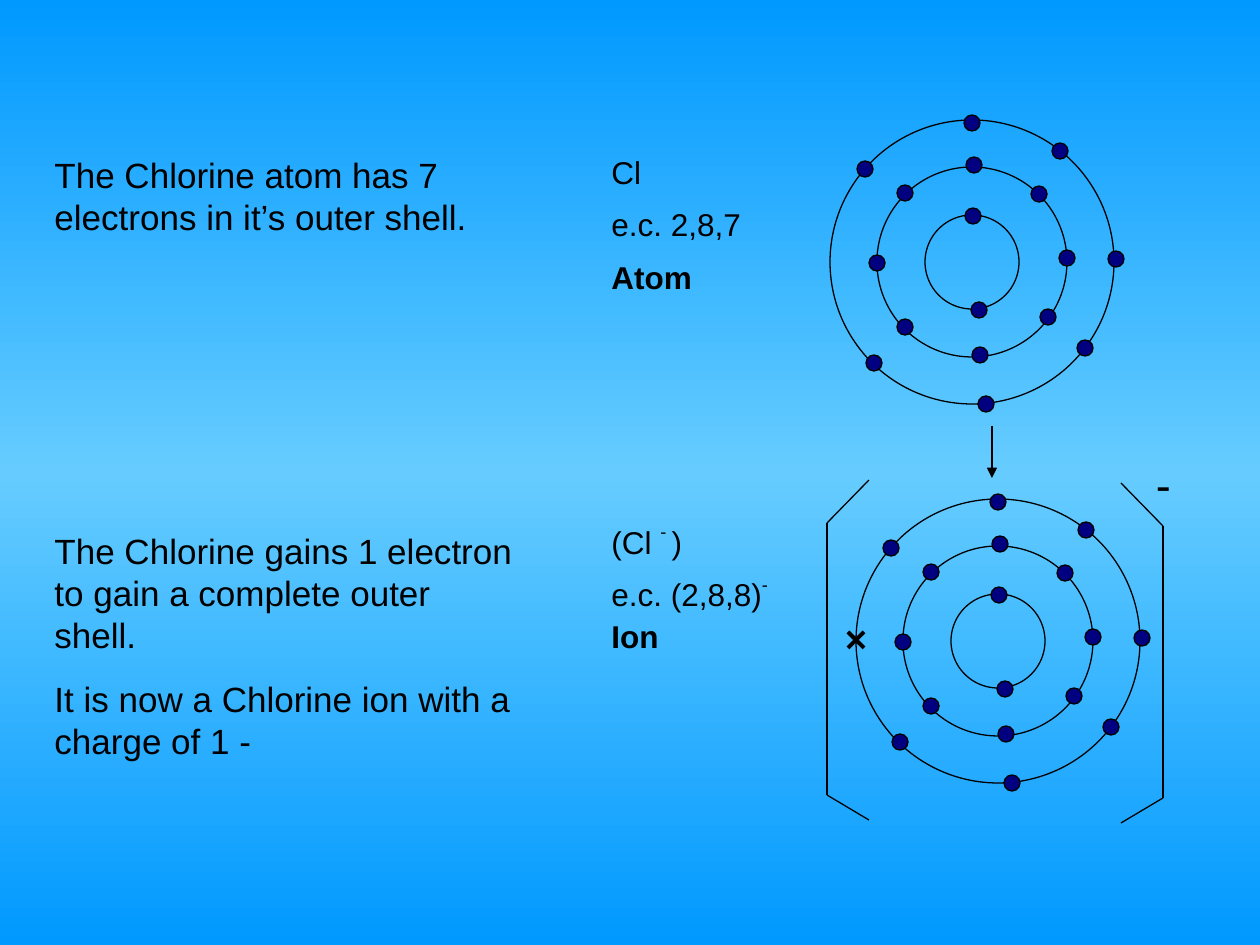
from copy import deepcopy
from dataclasses import dataclass

from lxml.etree import SubElement
from pptx import Presentation
from pptx.dml.color import RGBColor as Rgb
from pptx.enum.shapes import MSO_CONNECTOR as Connector, MSO_SHAPE as Shape
from pptx.enum.text import MSO_AUTO_SIZE as AutoSize
from pptx.oxml.ns import qn
from pptx.util import Emu, Pt


@dataclass(frozen=True)
class Theme:
    ink: Rgb = Rgb(0x00, 0x00, 0x00)
    electron: Rgb = Rgb(0x00, 0x00, 0x80)
    sky_edge: Rgb = Rgb(0x00, 0x99, 0xFF)
    sky_middle: Rgb = Rgb(0x66, 0xCC, 0xFF)
    font: str = "Arial"
    charge_font: str = "Times New Roman"
    label_size: int = 18
    body_size: int = 20
    charge_size: int = 24
    thin: float = 0.75
    thick: float = 2.25


SLIDE_SIZE = (1260, 945)
ELECTRON_SIZE = 16
SHELL_RADII = (47, 95, 142)
ELECTRON_OFFSETS = (
    (1, -46), (7, 48),
    (-67, -69), (2, -97), (67, -68), (95, -4),
    (76, 55), (8, 93), (-67, 65), (-95, 1),
    (0, -139), (88, -111), (144, -3), (113, 86),
    (14, 142), (-98, 101), (-107, -93),
)


def px(length):
    return Emu(round(length * 914400 / 126))


class Sketch:
    def __init__(self, slide, theme):
        self.slide = slide
        self.theme = theme
        self.shapes = slide.shapes

    def background(self):
        fill = self.slide.background.fill
        fill.gradient()
        fill.gradient_angle = 90
        stop_list = self.slide.element.xpath(".//a:gsLst")[0]
        stop_list.insert(1, deepcopy(stop_list[0]))
        colors = (self.theme.sky_edge, self.theme.sky_middle, self.theme.sky_edge)
        for index, (stop, color) in enumerate(zip(fill.gradient_stops, colors)):
            stop.position = index / 2
            stop.color.rgb = color

    def start_group(self):
        self.shapes = self.slide.shapes.add_group_shape().shapes

    def end_group(self):
        self.shapes = self.slide.shapes

    def circle(self, x, y, diameter, color=None):
        circle = self.shapes.add_shape(
            Shape.OVAL, px(x - diameter / 2), px(y - diameter / 2),
            px(diameter), px(diameter))
        circle.shadow.inherit = False
        if color is None:
            circle.fill.background()
        else:
            circle.fill.solid()
            circle.fill.fore_color.rgb = color
        circle.line.color.rgb = self.theme.ink
        circle.line.width = Pt(self.theme.thin)

    def line(self, start, end, width=None, arrow=False):
        line = self.shapes.add_connector(
            Connector.STRAIGHT, *map(px, start), *map(px, end))
        line.line.color.rgb = self.theme.ink
        line.line.width = Pt(width or self.theme.thin)
        if arrow:
            SubElement(line.line._get_or_add_ln(), qn("a:tailEnd"), type="triangle")
        SubElement(line.element.spPr, qn("a:effectLst"))

    def text(self, box, paragraphs, size, bold=False, font=None, space=0):
        frame = self.shapes.add_textbox(*map(px, box)).text_frame
        frame.word_wrap = True
        frame.auto_size = AutoSize.SHAPE_TO_FIT_TEXT
        for index, pieces in enumerate(paragraphs):
            paragraph = frame.add_paragraph() if index else frame.paragraphs[0]
            if index:
                paragraph.space_before = Pt(space)
            paragraph.font.name = font or self.theme.font
            paragraph.font.size = Pt(size)
            paragraph.font.bold = bold
            paragraph.font.color.rgb = self.theme.ink
            for wording, raised in pieces:
                run = paragraph.add_run()
                run.text = wording
                if raised:
                    run._r.get_or_add_rPr().set("baseline", str(raised * 1000))

    def label(self, top, *pieces, bold=False):
        self.text((599, top, 210, 50), [pieces], self.theme.label_size, bold)

    def explanation(self, top, height, *sentences):
        paragraphs = [[(sentence, 0)] for sentence in sentences]
        self.text((42, top, 483, height), paragraphs, self.theme.body_size, space=12.5)

    def shells(self, x, y):
        for radius in SHELL_RADII:
            self.circle(x, y, 2 * radius)
        for dx, dy in ELECTRON_OFFSETS:
            self.circle(x + dx, y + dy, ELECTRON_SIZE, self.theme.electron)

    def cross(self, x, y, reach):
        for rise in (reach, -reach):
            self.line((x - reach, y - rise), (x + reach, y + rise), self.theme.thick)

    def bracket(self, side, tip, top):
        shoulder, foot, bottom = top + 43, top + 315, top + 340
        self.line((side, shoulder), (side, foot))
        self.line((side, shoulder), (tip, top))
        self.line((side, foot), (tip, bottom))


def main():
    deck = Presentation()
    deck.slide_width, deck.slide_height = map(px, SLIDE_SIZE)
    theme = Theme()
    sketch = Sketch(deck.slides.add_slide(deck.slide_layouts[6]), theme)
    sketch.background()
    sketch.line((577, 472), (577, 472))

    sketch.start_group()
    sketch.shells(972, 262)
    sketch.end_group()

    sketch.label(147, ("Cl", 0))
    sketch.label(199, ("e.c. 2,8,7", 0))
    sketch.label(252, ("Atom", 0), bold=True)
    sketch.label(514, ("(Cl ", 0), ("- ", 50), (")", 0))
    sketch.label(567, ("e.c. (2,8,8)", 0), ("-", 48))
    sketch.label(611, ("Ion", 0), bold=True)
    sketch.explanation(147, 97, "The Chlorine atom has 7 electrons in it’s outer shell.")
    sketch.explanation(
        523, 244,
        "The Chlorine gains 1 electron to gain a complete outer shell.",
        "It is now a Chlorine ion with a charge of 1 -")
    sketch.line((992, 426), (992, 478), arrow=True)

    sketch.start_group()
    sketch.shells(998, 641)
    sketch.cross(856, 640, 8)
    sketch.bracket(827, 869, 480)
    sketch.bracket(1163, 1121, 483)
    sketch.text((1144, 451, 53, 63), [[("-", 0)]], theme.charge_size,
                bold=True, font=theme.charge_font)
    sketch.end_group()
    deck.save("out.pptx")


if __name__ == "__main__":
    main()
